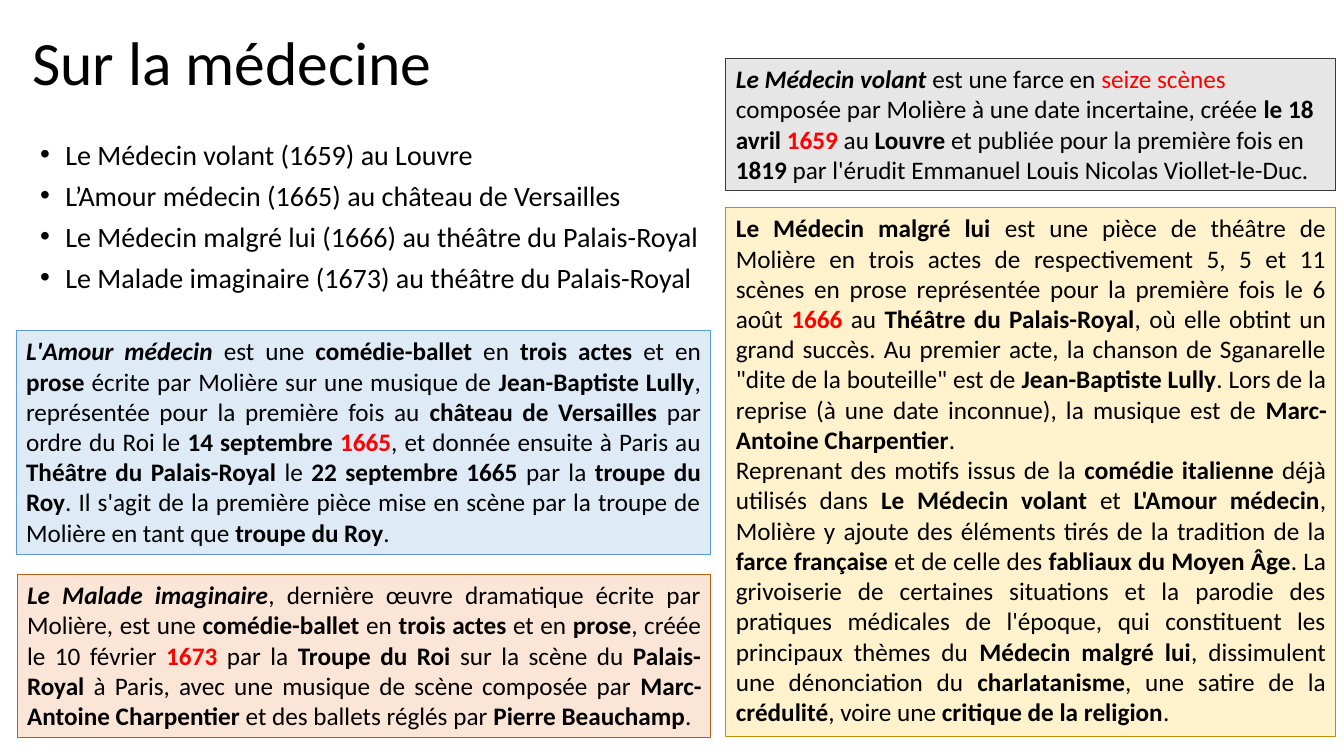
from lxml import etree
from pptx import Presentation
from pptx import util as u
from pptx.dml.color import RGBColor
from pptx.enum import shapes, text
from pptx.oxml.ns import qn

COLORS = {
    "black": "000000", "red": "FF0000",
    "blue": "DEEBF7", "blue_line": "5B9BD5",
    "orange": "FBE5D6", "orange_line": "C55A11",
    "yellow": "FFF2CC", "yellow_line": "BF9000",
    "grey": "E7E6E6", "grey_line": "3B3838",
}
MARKS = {
    "*": ({"bold": True}, "black"),
    "_": ({"bold": True, "italic": True}, "black"),
    "#": ({"bold": True}, "red"),
    "~": ({}, "red"),
}
PLAYS = [
    "Le Médecin volant (1659) au Louvre",
    "L’Amour médecin (1665) au château de Versailles",
    "Le Médecin malgré lui (1666) au théâtre du Palais-Royal",
    "Le Malade imaginaire (1673) au théâtre du Palais-Royal",
]
AMOUR = [
    "_L'Amour médecin |est une |*comédie-ballet| en |*trois actes |et en |*prose"
    "| écrite par Molière sur une musique de |*Jean-Baptiste Lully"
    "|, représentée pour la première fois au |*château de Versailles"
    "| par ordre du Roi le |*14 septembre |#1665|, et donnée ensuite à Paris au "
    "|*Théâtre du Palais-Royal |le |*22 septembre 1665| par la |*troupe du Roy"
    "|. Il s'agit de la première pièce mise en scène par la troupe de Molière "
    "en tant que |*troupe du Roy|. ",
]
MALADE = [
    "_Le Malade imaginaire|, dernière œuvre dramatique écrite par Molière, est une "
    "|*comédie-ballet| en |*trois actes |et en |*prose|, créée le 10 février |#1673"
    "| par la |*Troupe du Roi |sur la scène du |*Palais-Royal"
    "| à Paris, avec une musique de scène composée par |*Marc-Antoine Charpentier "
    "|et des ballets réglés par |*Pierre Beauchamp|. ",
]
MALGRE_LUI = [
    "*Le Médecin malgré lui |est une pièce de théâtre de Molière en trois actes de "
    "respectivement 5, 5 et 11 scènes en prose représentée pour la première fois "
    "le 6 août |#1666| au |*Théâtre du Palais-Royal|, où elle obtint un grand succès. "
    "Au premier acte, la chanson de Sganarelle \"dite de la bouteille\" est de "
    "|*Jean-Baptiste Lully|. Lors de la reprise (à une date inconnue), la musique "
    "est de |*Marc-Antoine Charpentier|. ",
    "Reprenant des motifs issus de la |*comédie italienne |déjà utilisés dans "
    "|*Le Médecin volant |et |*L'Amour médecin|, Molière y ajoute des éléments "
    "tirés de la tradition de la |*farce française |et de celle des "
    "|*fabliaux du Moyen Âge|. La grivoiserie de certaines situations et la parodie "
    "des pratiques médicales de l'époque, qui constituent les principaux thèmes du "
    "|*Médecin malgré lui|, dissimulent une dénonciation du |*charlatanisme"
    "|, une satire de la |*crédulité|, voire une |*critique de la religion|. ",
]
VOLANT = [
    "_Le Médecin volant |est une farce en |~seize scènes |composée par Molière à une "
    "date incertaine, créée |*le 18 avril |#1659 |au |*Louvre| et publiée pour la "
    "première fois en |*1819| par l'érudit Emmanuel Louis Nicolas Viollet-le-Duc.",
]


class Deck:
    """Holds the text style and the current slide."""

    font = "Calibri"

    def __init__(self, prs):
        self.s = prs.slides.add_slide(prs.slide_layouts[6])

    def color(self, name):
        return RGBColor.from_string(COLORS[name])

    def runs(self, p, marked, size):
        for part in marked.split("|"):
            fmt, color = MARKS.get(part[0], ({}, "black"))
            r = p.add_run()
            r.text = part[1:] if part[0] in MARKS else part
            values = {"name": self.font, "size": u.Pt(size), "bold": False, "italic": False}
            for key, value in {**values, **fmt}.items():
                setattr(r.font, key, value)
            r.font.color.rgb = self.color(color)

    def fill_text(self, sp, lines, size, frame, para, bullet=False):
        tf = sp.text_frame
        for key, value in {"word_wrap": True, **frame}.items():
            setattr(tf, key, value)
        for i, line in enumerate(lines):
            p = tf.paragraphs[0] if i == 0 else tf.add_paragraph()
            for key, value in para.items():
                if i or key != "space_before":
                    setattr(p, key, value)
            if bullet:
                self.bullet(p)
            self.runs(p, line, size)

    def bullet(self, p):
        pPr = p._p.get_or_add_pPr()
        pPr.set("marL", str(u.Inches(0.25)))
        pPr.set("indent", str(u.Inches(-0.25)))
        etree.SubElement(pPr, qn("a:buFont")).set("typeface", "Arial")
        etree.SubElement(pPr, qn("a:buChar")).set("char", "•")

    def textbox(self, at):
        return self.s.shapes.add_textbox(*map(u.Inches, at))

    def title(self, at, title):
        self.fill_text(self.textbox(at), [title], 44,
                       {"vertical_anchor": text.MSO_ANCHOR.MIDDLE}, {"line_spacing": 0.9})

    def bullets(self, at, lines):
        self.fill_text(self.textbox(at), lines, 20, {},
                       {"line_spacing": 0.8, "space_before": u.Pt(10)}, bullet=True)

    def card(self, at, lines, color, align=text.PP_ALIGN.JUSTIFY, width=0.75):
        sp = self.s.shapes.add_shape(shapes.MSO_SHAPE.RECTANGLE, *map(u.Inches, at))
        sp.shadow.inherit = False
        sp.fill.solid()
        sp.fill.fore_color.rgb = self.color(color)
        sp.line.color.rgb = self.color(color + "_line")
        sp.line.width = u.Pt(width)
        frame = {"vertical_anchor": text.MSO_ANCHOR.TOP,
                 "auto_size": text.MSO_AUTO_SIZE.SHAPE_TO_FIT_TEXT}
        self.fill_text(sp, lines, 18, frame, {"alignment": align})


def main():
    prs = Presentation()
    prs.slide_width, prs.slide_height = u.Inches(13.33), u.Inches(7.5)
    deck = Deck(prs)
    deck.title((0.22, 0.08, 4.86, 1.15), "Sur la médecine")
    deck.bullets((0.3, 1.38, 6.75, 1.71), PLAYS)
    deck.card((0.16, 3.28, 6.89, 2.22), AMOUR, "blue", width=0.5)
    deck.card((0.17, 5.7, 6.88, 1.62), MALADE, "orange")
    deck.card((7.2, 2.06, 6.05, 5.25), MALGRE_LUI, "yellow")
    deck.card((7.2, 0.58, 6.05, 1.31), VOLANT, "grey", align=text.PP_ALIGN.LEFT)
    prs.save("out.pptx")


if __name__ == "__main__":
    main()
